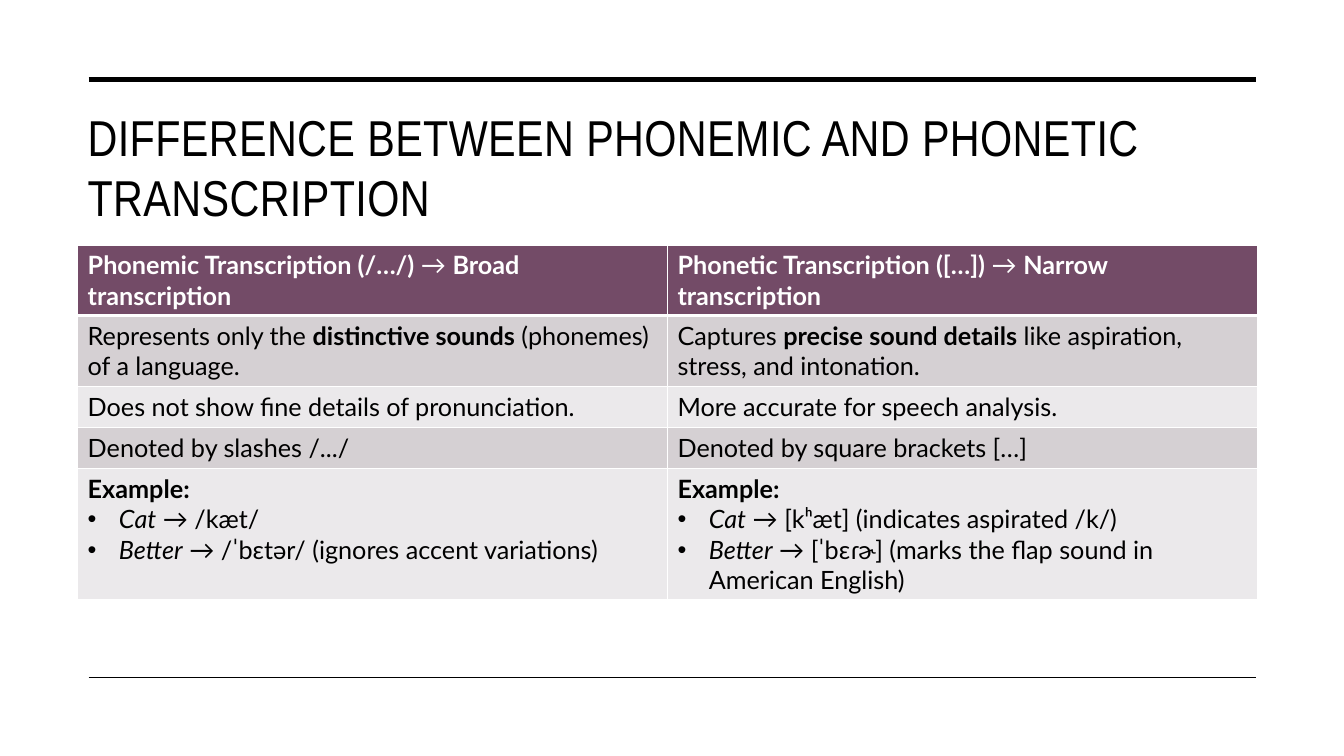
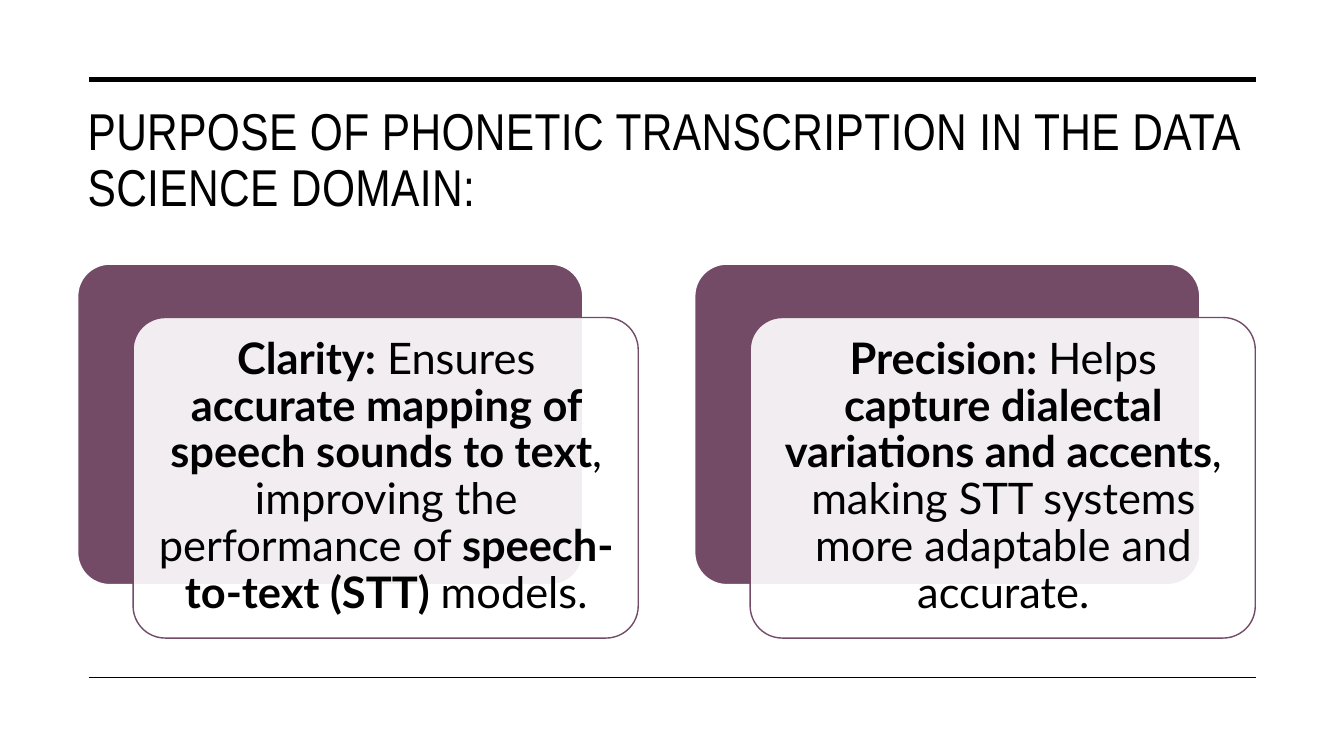
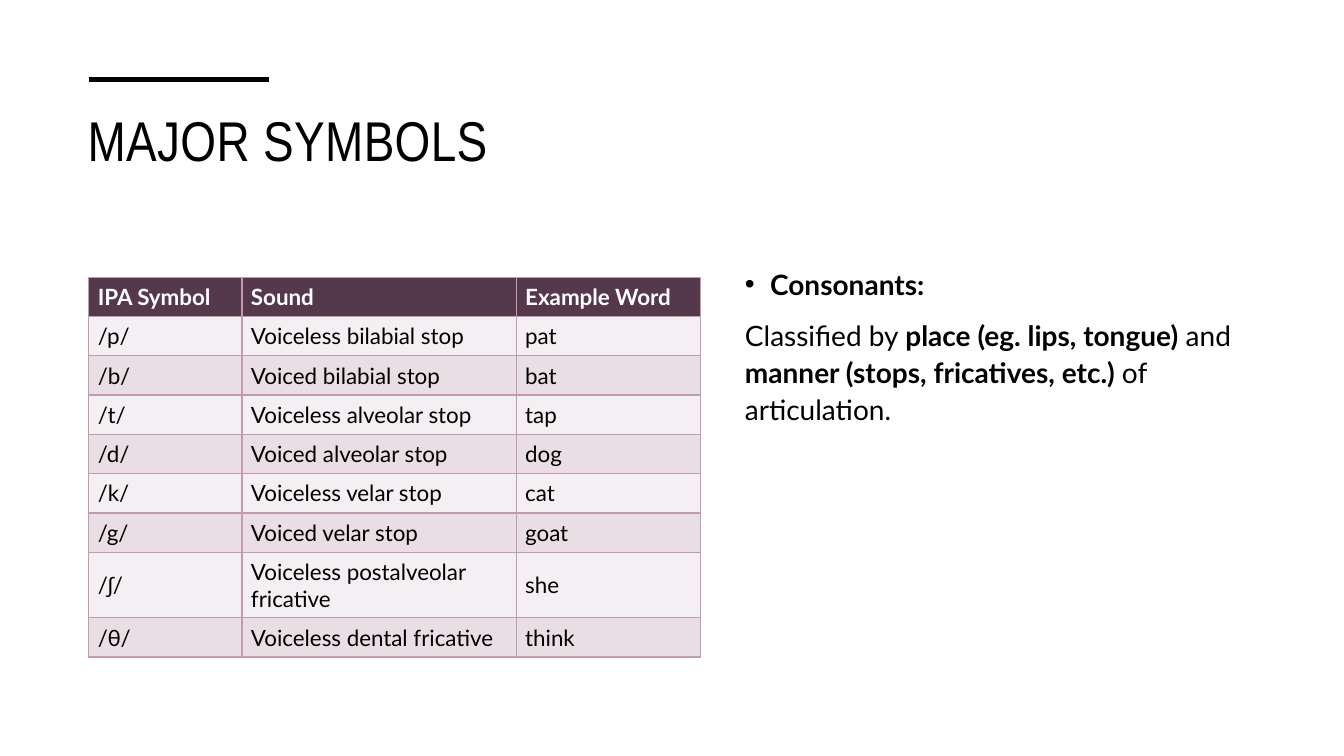
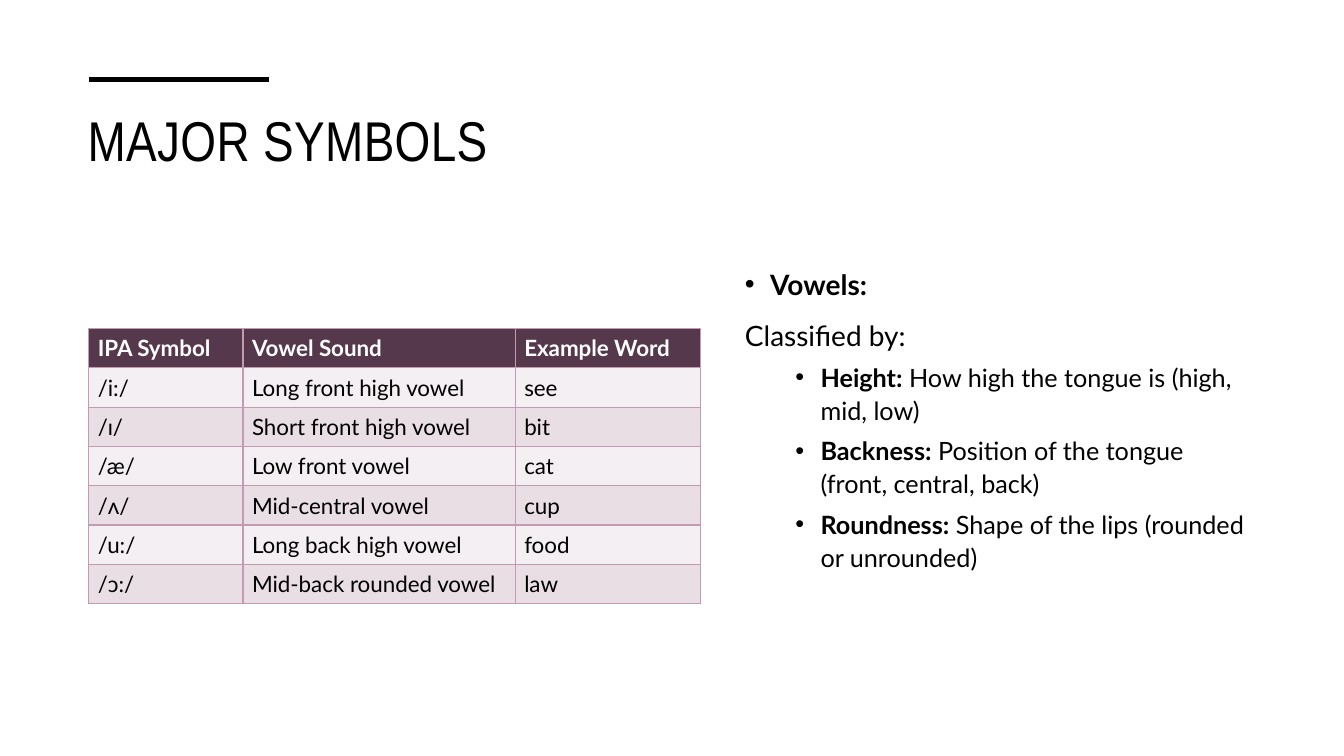
from lxml import etree
from pptx import Presentation
from pptx.dml.color import RGBColor
from pptx.enum.shapes import MSO_CONNECTOR, MSO_SHAPE
from pptx.enum.text import MSO_ANCHOR, PP_ALIGN
from pptx.oxml.ns import qn
from pptx.util import Inches, Pt

LINE = MSO_CONNECTOR.STRAIGHT
ROUND_RECT = MSO_SHAPE.ROUNDED_RECTANGLE
TOP, MIDDLE = MSO_ANCHOR.TOP, MSO_ANCHOR.MIDDLE
LEFT, CENTER = PP_ALIGN.LEFT, PP_ALIGN.CENTER

# Shared look
BLACK, WHITE, PLUM = "000000", "FFFFFF", "734B67"
DARK_PLUM, PINK = "56384D", "C29AB1"
GREY_BANDS = ("D5D0D3", "EBE9EB")
PINK_BANDS = ("F4EFF2", "E9DEE4")
TITLE_FONT, BODY_FONT = "Arial Narrow", "Lato"
RULE_LEFT, RULE_RIGHT, RULE_TOP, RULE_BOTTOM = 0.88, 12.46, 0.79, 6.72


def rgb(color):
    return RGBColor.from_string(color)


# Text: runs are (text, style) pairs, where style may hold "b" and "i"
def add_runs(p, runs, size, color=BLACK, font=BODY_FONT):
    for text, style in runs:
        r = p.add_run()
        r.text = text
        r.font.name, r.font.size = font, Pt(size)
        r.font.bold, r.font.italic = "b" in style, "i" in style
        r.font.color.rgb = rgb(color)


def add_bullet(p, indent, hanging):
    pPr = p._p.get_or_add_pPr()
    pPr.set("marL", str(Inches(indent)))
    pPr.set("indent", str(-Inches(hanging)))
    etree.SubElement(pPr, qn("a:buFont")).set("typeface", "Arial")
    etree.SubElement(pPr, qn("a:buChar")).set("char", "•")


def paragraphs(tf, count):
    return [tf.paragraphs[0]] + [tf.add_paragraph() for _ in range(count - 1)]


def add_text_box(s, left, top, width, height, inset=None, anchor=TOP):
    box = s.shapes.add_textbox(Inches(left), Inches(top), Inches(width), Inches(height))
    tf = box.text_frame
    tf.word_wrap = True
    tf.vertical_anchor = anchor
    if inset is not None:
        tf.margin_left = tf.margin_right = Inches(inset)
        tf.margin_top = tf.margin_bottom = Inches(inset)
    return tf


def add_title(s, text, size, spacing=1.0):
    p = add_text_box(s, 0.77, 1, 11.79, 1.29).paragraphs[0]
    p.line_spacing = spacing
    add_runs(p, [(text, "")], size, font=TITLE_FONT)
    p.runs[0].font._element.set("spc", "30")


# Rules above and below the content
def add_rule(s, y, right, weight):
    line = s.shapes.add_connector(LINE, Inches(RULE_LEFT), Inches(y), Inches(right), Inches(y))
    line.line.color.rgb = rgb(BLACK)
    line.line.width = Pt(weight)
    etree.SubElement(line._element.spPr, qn("a:effectLst"))


def add_wide_rules(s):
    add_rule(s, RULE_TOP, RULE_RIGHT, 3.5)
    add_rule(s, RULE_BOTTOM, RULE_RIGHT, 1)


# Tables
def set_borders(cell, color, top=1, bottom=1):
    tcPr = cell._tc.get_or_add_tcPr()
    for i, (side, weight) in enumerate((("L", 1), ("R", 1), ("T", top), ("B", bottom))):
        ln = etree.Element(qn("a:ln" + side), w=str(Pt(weight)))
        fill = etree.SubElement(ln, qn("a:solidFill"))
        etree.SubElement(fill, qn("a:srgbClr")).set("val", color)
        tcPr.insert(i, ln)


def add_table(s, left, top, widths, heights):
    frame = s.shapes.add_table(len(heights), len(widths), Inches(left), Inches(top),
                               Inches(sum(widths)), Inches(sum(heights)))
    table = frame.table
    for column, width in zip(table.columns, widths):
        column.width = Inches(width)
    for row, height in zip(table.rows, heights):
        row.height = Inches(height)
    return table


def fill_cell(cell, row, header, bands):
    cell.fill.solid()
    cell.fill.fore_color.rgb = rgb(bands[(row - 1) % 2] if row else header)


def add_comparison_table(s, rows):
    table = add_table(s, 0.77, 2.43, [5.85] * 2, [0.7, 0.7, 0.41, 0.41, 1.29])
    for i, row in enumerate(rows):
        for j, content in enumerate(row):
            cell = table.cell(i, j)
            fill_cell(cell, i, PLUM, GREY_BANDS)
            set_borders(cell, WHITE, top=3 if i == 1 else 1, bottom=3 if i == 0 else 1)
            for n, p in enumerate(paragraphs(cell.text_frame, len(content))):
                if n:
                    add_bullet(p, 0.31, 0.31)
                add_runs(p, content[n], 18, BLACK if i else WHITE)


def add_symbol_table(s, top, widths, heights, rows):
    table = add_table(s, 0.88, top, widths, heights)
    for i, row in enumerate(rows):
        for j, text in enumerate(row):
            cell = table.cell(i, j)
            fill_cell(cell, i, DARK_PLUM, PINK_BANDS)
            set_borders(cell, PINK)
            cell.vertical_anchor = MIDDLE
            cell.margin_left = cell.margin_right = Inches(0.09)
            cell.margin_top = cell.margin_bottom = Inches(0.04)
            add_runs(cell.text_frame.paragraphs[0], [(text, "" if i else "b")], 16,
                     BLACK if i else WHITE)


# Cards: a plum panel with a translucent white panel over it
def add_panel(s, left, top, fill, line, opacity=None):
    panel = s.shapes.add_shape(ROUND_RECT, Inches(left), Inches(top), Inches(5.01), Inches(3.18))
    panel.adjustments[0] = 0.1
    panel.shadow.inherit = False
    panel.fill.solid()
    panel.fill.fore_color.rgb = rgb(fill)
    panel.line.color.rgb = rgb(line)
    panel.line.width = Pt(1)
    if opacity:
        color = panel.fill._xPr.find(qn("a:solidFill"))[0]
        etree.SubElement(color, qn("a:alpha")).set("val", str(opacity * 1000))


def add_card(s, left, runs):
    add_panel(s, left, 2.62, PLUM, WHITE)
    add_panel(s, left + 0.55, 3.15, WHITE, PLUM, opacity=90)
    p = add_text_box(s, left + 0.65, 3.24, 4.82, 2.99, 0.13, MIDDLE).paragraphs[0]
    p.alignment, p.line_spacing = CENTER, 0.9
    add_runs(p, runs, 31)


# Notes beside a symbol table: bulleted heading, lead-in, sub-bullets
def add_notes(s, heading, lead, points=()):
    tf = add_text_box(s, 7.29, 2.57, 5.27, 4.13)
    content = [[(heading, "b")], lead, *points]
    for i, p in enumerate(paragraphs(tf, len(content))):
        is_point = i > 1
        p.alignment, p.line_spacing = LEFT, 1.1
        p.space_before = Pt(5 if is_point else 10)
        if is_point:
            p.level = 1
        if i != 1:
            add_bullet(p, 0.75 if is_point else 0.25, 0.25)
        add_runs(p, content[i], 18 if is_point else 20)


def add_symbol_slide(s):
    add_title(s, "MAJOR SYMBOLS", 40)
    add_rule(s, RULE_TOP, 2.67, 3.5)


# Slides
def comparison_slide(s):
    add_wide_rules(s)
    add_title(s, "DIFFERENCE BETWEEN PHONEMIC AND PHONETIC TRANSCRIPTION", 36)
    add_comparison_table(s, [
        ([[("Phonemic Transcription (/…/)", "b"), (" → ", ""), ("Broad transcription", "b")]],
         [[("Phonetic Transcription ([…])", "b"), (" → ", ""), ("Narrow transcription", "b")]]),
        ([[("Represents only the ", ""), ("distinctive sounds", "b"),
           (" (phonemes) of a language.", "")]],
         [[("Captures ", ""), ("precise sound details", "b"),
           (" like aspiration, stress, and intonation.", "")]]),
        ([[("Does not show fine details of pronunciation.", "")]],
         [[("More accurate for speech analysis.", "")]]),
        ([[("Denoted by slashes /.../", "")]],
         [[("Denoted by square brackets […]", "")]]),
        ([[("Example:", "b")],
          [("Cat", "i"), (" → /kæt/", "")],
          [("Better", "i"), (" → /ˈbɛtər/ (ignores accent variations)", "")]],
         [[("Example:", "b")],
          [("Cat", "i"), (" → [kʰæt] (indicates aspirated /k/)", "")],
          [("Better", "i"), (" → [ˈbɛɾɚ] (marks the flap sound in American English)", "")]]),
    ])


def purpose_slide(s):
    add_wide_rules(s)
    add_title(s, "PURPOSE OF PHONETIC TRANSCRIPTION IN THE DATA SCIENCE DOMAIN:", 37, 0.9)
    cards = [
        [("Clarity:", "b"), (" Ensures ", ""),
         ("accurate mapping of speech sounds to text", "b"),
         (", improving the performance of ", ""),
         ("speech-to-text (STT)", "b"), (" models.", "")],
        [("Precision:", "b"), (" Helps ", ""),
         ("capture dialectal variations and accents", "b"),
         (", making STT systems more adaptable and accurate.", "")],
    ]
    for i, runs in enumerate(cards):
        add_card(s, 0.77 + 6.12 * i, runs)


def consonants_slide(s):
    add_symbol_slide(s)
    add_notes(s, "Consonants:", [
        ("Classified by ", ""), ("place (eg. lips, tongue)", "b"), (" and ", ""),
        ("manner (stops, fricatives, etc.) ", "b"), ("of articulation.", "")])
    heights = [0.39] * 7 + [0.65, 0.39]
    add_symbol_table(s, 2.75, [1.52, 2.72, 1.83], heights, [
        ("IPA Symbol", "Sound", "Example Word"),
        ("/p/", "Voiceless bilabial stop", "pat"),
        ("/b/", "Voiced bilabial stop", "bat"),
        ("/t/", "Voiceless alveolar stop", "tap"),
        ("/d/", "Voiced alveolar stop", "dog"),
        ("/k/", "Voiceless velar stop", "cat"),
        ("/g/", "Voiced velar stop", "goat"),
        ("/ʃ/", "Voiceless postalveolar fricative", "she"),
        ("/θ/", "Voiceless dental fricative", "think"),
    ])


def vowels_slide(s):
    add_symbol_slide(s)
    add_notes(s, "Vowels:", [("Classified by:", "")], [
        [("Height:", "b"), (" How high the tongue is (high, mid, low)", "")],
        [("Backness:", "b"), (" Position of the tongue (front, central, back)", "")],
        [("Roundness:", "b"), (" Shape of the lips (rounded or unrounded)", "")],
    ])
    add_symbol_table(s, 3.26, [1.53, 2.7, 1.84], [0.39] * 7, [
        ("IPA Symbol", "Vowel Sound", "Example Word"),
        ("/i:/", "Long front high vowel", "see"),
        ("/ɪ/", "Short front high vowel", "bit"),
        ("/æ/", "Low front vowel", "cat"),
        ("/ʌ/", "Mid-central vowel", "cup"),
        ("/u:/", "Long back high vowel", "food"),
        ("/ɔ:/", "Mid-back rounded vowel", "law"),
    ])


def main():
    prs = Presentation()
    prs.slide_width, prs.slide_height = Inches(13.33), Inches(7.5)
    for build in (comparison_slide, purpose_slide, consonants_slide, vowels_slide):
        build(prs.slides.add_slide(prs.slide_layouts[6]))
    prs.save("out.pptx")


if __name__ == "__main__":
    main()
